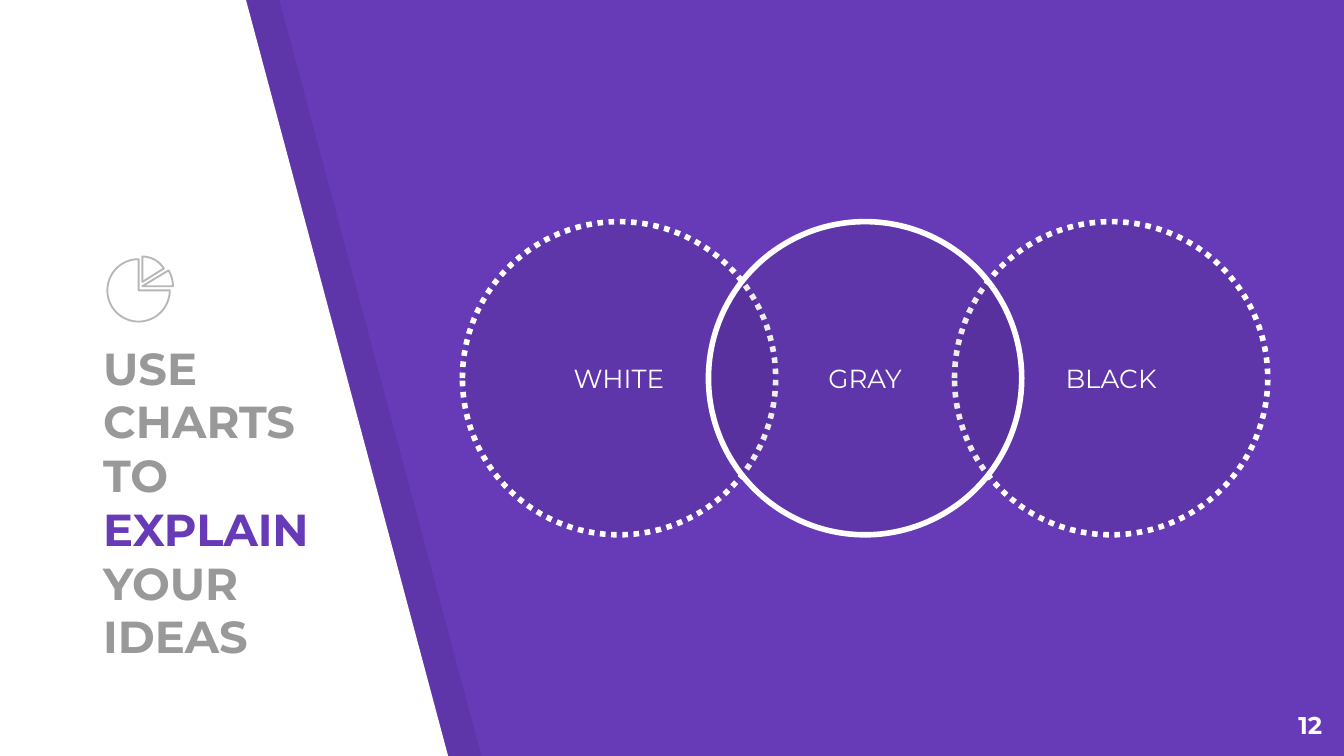
from math import cos, radians, sin

from lxml.etree import SubElement
from pptx import Presentation
from pptx.dml.color import RGBColor
from pptx.enum.dml import MSO_LINE
from pptx.enum.shapes import MSO_SHAPE
from pptx.enum.text import MSO_ANCHOR, MSO_AUTO_SIZE, PP_ALIGN
from pptx.oxml.ns import qn
from pptx.util import Cm, Pt

COLORS = {"purple": "673AB7", "white": "FFFFFF", "black": "000000",
          "gray": "999999", "icon": "B7B7B7"}
FONT = "Montserrat"
TITLE = [("USE CHARTS TO ", "gray"), ("EXPLAIN", "purple"), (" YOUR IDEAS", "gray")]
CIRCLES = [("WHITE", 0, MSO_LINE.ROUND_DOT), ("BLACK", 2, MSO_LINE.ROUND_DOT),
           ("GRAY", 1, None)]
CIRCLE_LEFT, CIRCLE_TOP, CIRCLE_SIZE, CIRCLE_STEP = 8.74, 4.19, 5.92, 4.65
PANELS = [(0.58, "black", 7), (-0.05, "white", 100)]
PANEL_OUTLINE = [(0, -0.03), (0, 14.33), (8.53, 14.33), (4.7, 0)]
PIE_SLICES = [(2.62, 5.49, 0.59, 0, 270), (2.69, 5.33, 0.48, -90, -32),
              (2.69, 5.41, 0.58, -31, 0)]
PAGE = "12"


def rgb(name):
    return RGBColor.from_string(COLORS[name])


def fill(sp, color, alpha=100):
    sp.fill.solid()
    sp.fill.fore_color.rgb = rgb(color)
    if alpha < 100:
        clr = sp._element.spPr.find(qn("a:solidFill"))[0]
        SubElement(clr, qn("a:alpha")).set("val", str(alpha * 1000))


def outline(sp, color, width):
    sp.line.color.rgb = rgb(color)
    sp.line.width = Pt(width)


def polygon(s, points):
    pts = [(Cm(x), Cm(y)) for x, y in points]
    builder = s.shapes.build_freeform(*pts[0])
    builder.add_line_segments(pts[1:], close=True)
    sp = builder.convert_to_shape()
    sp.shadow.inherit = False
    return sp


def frame(sp, anchor):
    tf = sp.text_frame
    tf.word_wrap = True
    tf.auto_size = MSO_AUTO_SIZE.NONE
    tf.vertical_anchor = anchor
    tf.margin_left = tf.margin_right = tf.margin_top = tf.margin_bottom = Cm(0.25)
    return tf


def style(p, size, align, bold=False, color=None):
    p.alignment = align
    p.font.name, p.font.size, p.font.bold = FONT, Pt(size), bold
    if color:
        p.font.color.rgb = rgb(color)


def add_panels(s):
    for left, color, alpha in PANELS:
        sp = polygon(s, [(left + x, y) for x, y in PANEL_OUTLINE])
        fill(sp, color, alpha)
        sp.line.fill.background()


def add_title(s):
    sp = s.shapes.title
    sp.left, sp.top, sp.width, sp.height = Cm(1.7), Cm(11.43), Cm(4.47), Cm(1.35)
    p = frame(sp, MSO_ANCHOR.BOTTOM).paragraphs[0]
    style(p, 24, PP_ALIGN.LEFT, True)
    for text, color in TITLE:
        r = p.add_run()
        r.text = text
        r.font.color.rgb = rgb(color)


def add_circles(s):
    for label, column, dash in CIRCLES:
        sp = s.shapes.add_shape(
            MSO_SHAPE.OVAL, Cm(CIRCLE_LEFT + column * CIRCLE_STEP), Cm(CIRCLE_TOP),
            Cm(CIRCLE_SIZE), Cm(CIRCLE_SIZE))
        sp.shadow.inherit = False
        fill(sp, "black", 7)
        outline(sp, "white", 3)
        if dash:
            sp.line.dash_style = dash
        p = frame(sp, MSO_ANCHOR.MIDDLE).paragraphs[0]
        p.text = label
        style(p, 14, PP_ALIGN.CENTER, color="white")


def add_pie_icon(s):
    for x, y, radius, start, end in PIE_SLICES:
        steps = max(8, (end - start) // 5)
        angles = [radians(start + (end - start) * i / steps) for i in range(steps + 1)]
        arc = [(x + radius * cos(a), y + radius * sin(a)) for a in angles]
        sp = polygon(s, [(x, y)] + arc)
        sp.fill.background()
        outline(sp, "icon", 1)


def add_page_number(s):
    sp = s.shapes.add_textbox(Cm(23.72), Cm(13.18), Cm(1.52), Cm(1.09))
    p = frame(sp, MSO_ANCHOR.TOP).paragraphs[0]
    p.text = PAGE
    style(p, 13, PP_ALIGN.RIGHT, True, "white")


def main():
    """Build the slide with three overlapping circles."""
    prs = Presentation()
    prs.slide_width, prs.slide_height = Cm(25.4), Cm(14.29)
    s = prs.slides.add_slide(prs.slide_layouts[5])
    fill(s.background, "purple")
    add_panels(s)
    add_title(s)
    add_circles(s)
    add_pie_icon(s)
    add_page_number(s)
    title = s.shapes.title._element
    s.shapes._spTree.remove(title)
    s.shapes._spTree.insert(2 + len(PANELS), title)
    prs.save("out.pptx")


if __name__ == "__main__":
    main()
